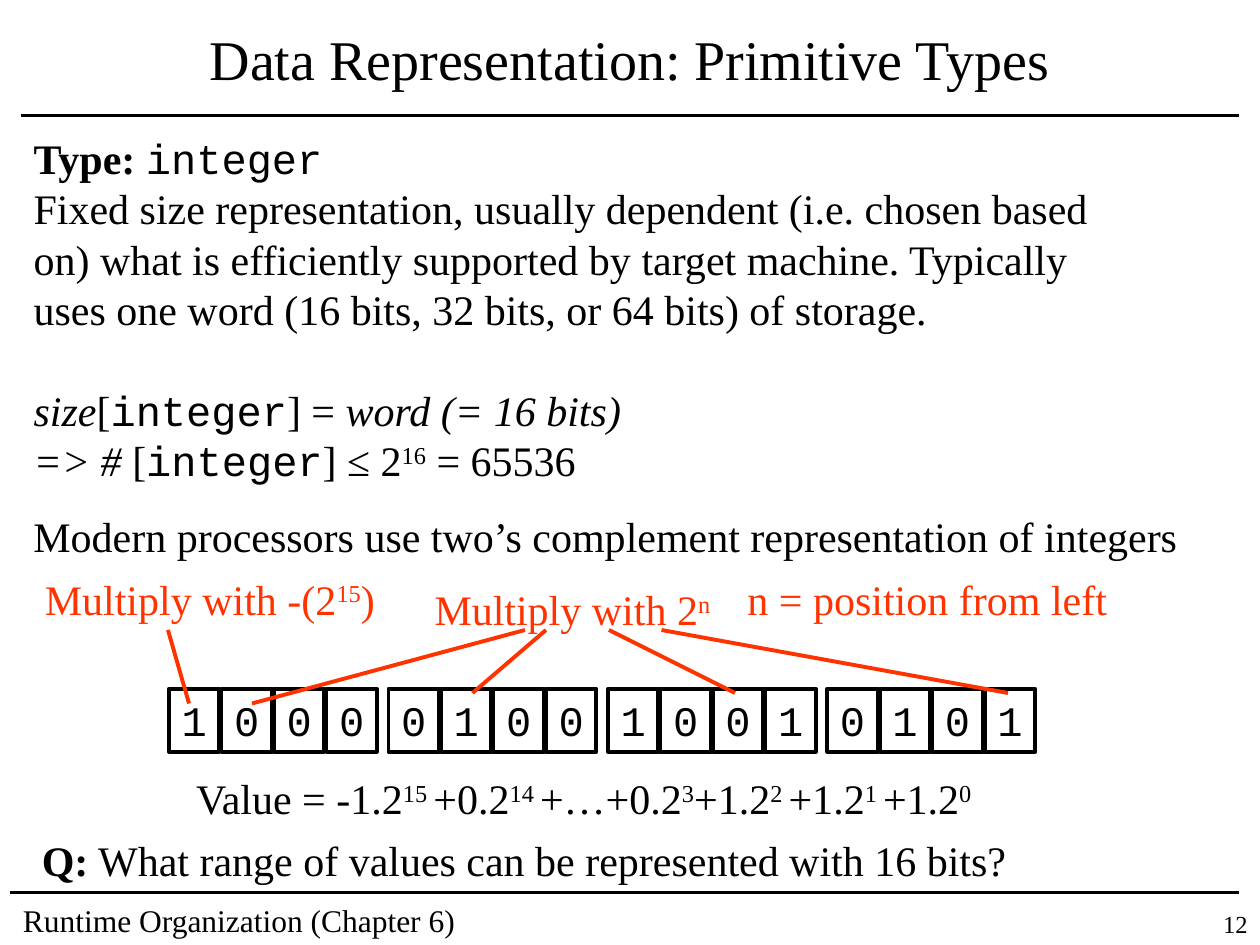
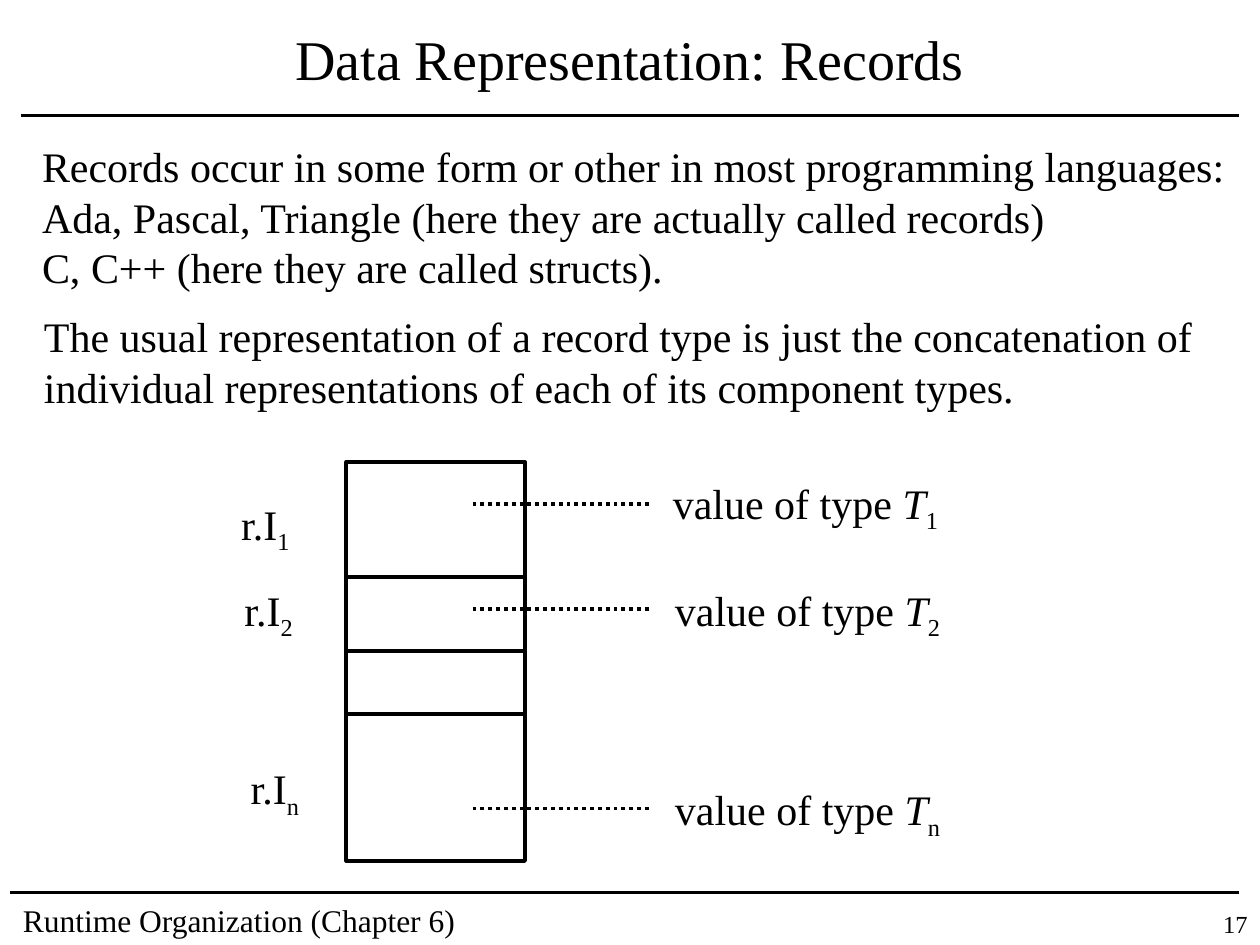
import collections

import lxml.etree
import pptx
import pptx.dml.color
import pptx.enum.dml
import pptx.enum.shapes
import pptx.enum.text
import pptx.oxml.ns
import pptx.util

# Shared look
BLACK = pptx.dml.color.RGBColor(0x00, 0x00, 0x00)
WHITE = pptx.dml.color.RGBColor(0xFF, 0xFF, 0xFF)
ORANGE = pptx.dml.color.RGBColor(0xFF, 0x33, 0x00)
SERIF, MONO = "Times New Roman", "Courier New"
BODY_SIZE = 24
LINE_RATIO = 1.2      # line height as a share of the text size
SUBSCRIPT_RATIO = 1.38
RULE_WIDTH = pptx.util.Pt(2.25)

# The page is a grid of 120 columns by 90 rows; all boxes are in grid cells
COLUMNS, ROWS = 120, 90
CELL = pptx.util.Inches(10) // COLUMNS
Box = collections.namedtuple("Box", "left top width height")

TITLE_BOX = Box(3, 1, 114, 9)
FOOTER_BOX = Box(1, 85.2, 46, 4.8)
NUMBER_BOX = Box(111, 86, 9, 4)


def inside(region, left, top, width, height):
    """Turn offsets within a region into a box on the page."""
    return Box(region.left + left, region.top + top, width, height)


def cells(*counts):
    return [pptx.util.Emu(round(count * CELL)) for count in counts]


def place(shape, box):
    shape.left, shape.top, shape.width, shape.height = cells(*box)


def add_span(para, text, style, size, color):
    """Style letters: b bold, i italic, m monospaced, ^ superscript, _ subscript."""
    span = para.add_run()
    span.text = text
    font = span.font
    font.size = pptx.util.Pt(size)
    font.name = MONO if "m" in style else SERIF
    font.bold, font.italic = "b" in style, "i" in style
    font.color.rgb = color
    for mark, baseline in (("^", "30000"), ("_", "-25000")):
        if mark in style:
            font._element.set("baseline", baseline)


def fill_text(shape, paras, size=BODY_SIZE, color=BLACK, wrap=False,
              align=pptx.enum.text.PP_ALIGN.LEFT,
              anchor=pptx.enum.text.MSO_ANCHOR.TOP):
    """Write paragraphs, each a list of (text, style) spans."""
    frame = shape.text_frame
    frame.auto_size = pptx.enum.text.MSO_AUTO_SIZE.NONE
    frame.word_wrap = wrap
    frame.vertical_anchor = anchor
    for index, spans in enumerate(paras):
        para = frame.paragraphs[0] if index == 0 else frame.add_paragraph()
        properties = para._p.get_or_add_pPr()
        properties.set("marL", "0")
        properties.set("indent", "0")
        lxml.etree.SubElement(properties, pptx.oxml.ns.qn("a:buNone"))
        has_subscript = any("_" in style for _, style in spans)
        ratio = SUBSCRIPT_RATIO if has_subscript else LINE_RATIO
        para.line_spacing = pptx.util.Pt(size * ratio)
        para.space_before = pptx.util.Pt(0)
        para.alignment = align
        for text, style in spans:
            add_span(para, text, style, size, color)
    return frame


def add_text(page, box, spans, **options):
    shape = page.shapes.add_textbox(*cells(*box))
    fill_text(shape, [spans], **options)


def add_line(page, start, end, color=BLACK, dash=None):
    line = page.shapes.add_connector(
        pptx.enum.shapes.MSO_CONNECTOR.STRAIGHT, *cells(*start, *end))
    line.line.color.rgb = color
    line.line.width = RULE_WIDTH
    if dash is not None:
        line.line.dash_style = dash
    lxml.etree.SubElement(line._element.spPr, pptx.oxml.ns.qn("a:effectLst"))


def add_cell(page, box):
    shape = page.shapes.add_shape(
        pptx.enum.shapes.MSO_SHAPE.RECTANGLE, *cells(*box))
    shape.shadow.inherit = False
    shape.fill.solid()
    shape.fill.fore_color.rgb = WHITE
    shape.line.color.rgb = BLACK
    shape.line.width = RULE_WIDTH
    return shape


def add_page(deck, title, number, body_box, body, wrap):
    """Title, rules, footer and opening text of a slide."""
    page = deck.slides.add_slide(deck.slide_layouts[1])
    add_line(page, (2, 11), (118, 11))
    add_line(page, (1, 85), (118, 85))
    place(page.shapes.title, TITLE_BOX)
    fill_text(page.shapes.title, [[(title, "")]], size=32, wrap=True,
              align=pptx.enum.text.PP_ALIGN.CENTER,
              anchor=pptx.enum.text.MSO_ANCHOR.MIDDLE)
    place(page.placeholders[1], body_box)
    frame = fill_text(page.placeholders[1], body, wrap=wrap)
    add_text(page, FOOTER_BOX, [("Runtime Organization (Chapter 6)", "")],
             size=18, wrap=True)
    add_text(page, NUMBER_BOX, [(number, "")], size=14, wrap=True,
             align=pptx.enum.text.PP_ALIGN.RIGHT)
    return page, frame


def add_bit_figure(page, region):
    """Sixteen bits in groups of four, with the weights that apply to them."""
    # Bit cells
    for group, bits in enumerate(("1000", "0100", "1001", "0101")):
        for index, bit in enumerate(bits):
            left = 14.1 + group * 20.9 + index * 5
            cell = add_cell(page, inside(region, left, 11.6, 4.8, 6))
            fill_text(cell, [[(bit, "m")]],
                      align=pptx.enum.text.PP_ALIGN.CENTER)

    # Weight labels
    labels = (
        (1.1, 0, 33.8, [("Multiply with -(2", ""), ("15", "^"), (")", "")]),
        (38.2, 1, 28.7, [("Multiply with 2", ""), ("n", "^")]),
        (68, 0, 36.6, [("n = position from left", "")]),
    )
    for left, top, width, spans in labels:
        add_text(page, inside(region, left, top, width, 6), spans,
                 color=ORANGE)

    # Pointers from labels to bits
    for start, end, drop in ((14, 16, 7), (48, 22, 7), (50, 43, 6),
                             (56, 68, 6), (61, 94, 6)):
        add_line(page, (region.left + start, region.top + 6),
                 (region.left + end, region.top + 6 + drop), ORANGE)

    # Sum of the weighted bits
    terms = (("Value = -1.2", "15 "), ("+0.2", "14 "), ("+…+0.2", "3"),
             ("+1.2", "2 "), ("+1.2", "1 "), ("+1.2", "0"))
    spans = [span for term, power in terms
             for span in ((term, ""), (power, "^"))]
    add_text(page, inside(region, 15.5, 19, 76.7, 6), spans)


def add_record_figure(page, region):
    """Stacked fields of a record, named on the left and typed on the right."""
    # Memory cells
    top = 0
    for height in (11, 7, 6, 14):
        add_cell(page, inside(region, 11.2, top, 17, height))
        top += height

    # Field names, value types and the dotted leaders between them
    fields = (("1", (0, 2.8), (41.1, 0.8), 4),
              ("2", (0.3, 11), (41.3, 11), 14),
              ("n", (0.9, 28), (41.3, 30), 33))
    for mark, name_at, type_at, leader in fields:
        add_text(page, inside(region, *name_at, 7.2, 6.7),
                 [("r.I", ""), (mark, "_")])
        add_text(page, inside(region, *type_at, 27.6, 6.7),
                 [("value of type ", ""), ("T", "i"), (mark, "_")])
        row = region.top + leader
        add_line(page, (region.left + 23.2, row), (region.left + 40.2, row),
                 dash=pptx.enum.dml.MSO_LINE.ROUND_DOT)


def build_primitive_types(deck):
    body = [
        [("Type: ", "b"), ("integer", "m")],
        [("Fixed size representation, usually dependent (i.e. chosen based "
          "on) what is efficiently supported by target machine. Typically "
          "uses one word (16 bits, 32 bits, or 64 bits) of storage.", "")],
        [("size", "i"), ("[", ""), ("integer", "m"), ("] = ", ""),
         ("word (= 16 bits)", "i")],
        [("=> # ", "i"), ("[", ""), ("integer", "m"), ("] ≤ 2", ""),
         ("16", "^"), (" = 65536", "")],
    ]
    page, frame = add_page(deck, "Data Representation: Primitive Types", "12",
                           Box(2, 12, 108.2, 34.8), body, wrap=True)
    # One line of space sets the size formulas apart
    frame.paragraphs[2].space_before = pptx.util.Pt(BODY_SIZE * LINE_RATIO)
    add_text(page, Box(2, 48, 111.6, 6),
             [("Modern processors use two’s complement representation of "
               "integers", "")])
    add_bit_figure(page, Box(2, 54, 104, 25))
    add_text(page, Box(2.8, 78.9, 94.3, 6),
             [("Q:", "b"),
              (" What range of values can be represented with 16 bits?", "")])


def build_records(deck):
    body = [[(line, "")] for line in (
        "Records occur in some form or other in most programming languages:",
        "Ada, Pascal, Triangle (here they are actually called records)",
        "C, C++ (here they are called structs).")]
    page, _ = add_page(deck, "Data Representation: Records", "17",
                       Box(2.8, 12.8, 115.1, 15.6), body, wrap=False)
    add_text(page, Box(3, 29, 112.2, 10.8),
             [("The usual representation of a record type is just the "
               "concatenation of individual representations of each of its "
               "component types.", "")], wrap=True)
    add_record_figure(page, Box(21.8, 44, 69, 38))


def main():
    deck = pptx.Presentation()
    deck.slide_width, deck.slide_height = cells(COLUMNS, ROWS)
    build_primitive_types(deck)
    build_records(deck)
    deck.save("out.pptx")


if __name__ == "__main__":
    main()
